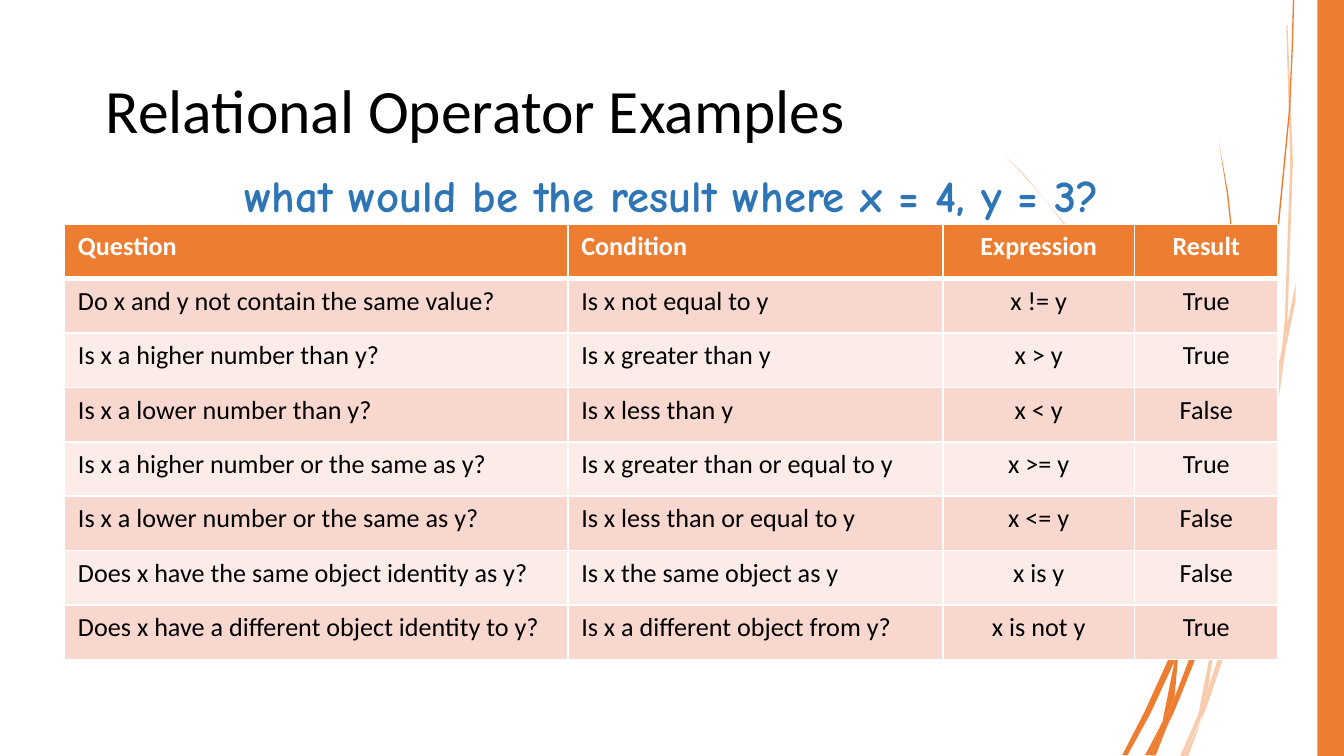
from collections import namedtuple
from dataclasses import dataclass

from lxml.etree import SubElement
from pptx import Presentation
from pptx.dml.color import RGBColor
from pptx.enum.shapes import MSO_SHAPE as Shape
from pptx.enum.text import MSO_ANCHOR as Anchor, PP_ALIGN as Align
from pptx.oxml.ns import qn
from pptx.util import Cm, Pt

Box = namedtuple("Box", "left top width height")


@dataclass(frozen=True)
class Theme:
    accent: str = "ED7D31"
    pale: str = "F8CBAD"
    bands: tuple = ("F8D7CE", "FCECE8")
    black: str = "000000"
    white: str = "FFFFFF"
    blue: str = "2E75B6"
    body_font: str = "Calibri"
    hand_font: str = "Comic Neue"
    title_size: int = 33
    prompt_size: int = 24
    table_size: int = 14
    rule: int = 1
    header_rule: int = 3


THEME = Theme()
PAGE = Box(0, 0, 25.4, 14.29)
WISP_UNIT = Cm(0.0254)

PALE_WISPS = [
    [(956, 263), (958, 241), (964, 211), (964, 224), (957, 258)],
    [(924, 391), (905, 449), (905, 440), (921, 390), (939, 325), (954, 259),
     (952, 282)],
    [(900, 455), (902, 447), (902, 458), (878, 520), (859, 563), (856, 563),
     (875, 519)],
    [(881, 563), (878, 563), (891, 533)],
    [(899, 512), (915, 464), (930, 408), (942, 352), (952, 282), (956, 263),
     (944, 352), (933, 409), (918, 466), (900, 520), (894, 536), (895, 530)],
    [(958, 237), (958, 242), (954, 258), (954, 259), (956, 237), (960, 120),
     (957, 19), (958, 19), (962, 120)],
    [(958, 241), (956, 263), (952, 282), (954, 259), (954, 258)],
    [(905, 449), (903, 485), (899, 512), (897, 519), (891, 533), (892, 530),
     (901, 484), (902, 458), (903, 456)],
    [(902, 438), (898, 392), (887, 347), (852, 261), (805, 184), (777, 148),
     (762, 131), (747, 115), (763, 131), (777, 148), (806, 183), (854, 261),
     (889, 346), (901, 391), (905, 438), (905, 440), (902, 447)],
    [(894, 536), (884, 563), (881, 563)],
    [(903, 456), (902, 458), (902, 447), (905, 440), (905, 449)],
    [(897, 519), (899, 512), (895, 530), (893, 536), (881, 563), (891, 533)],
]

ACCENT_WISPS = [
    [(960, 82), (951, 175), (938, 266), (919, 357), (918, 361), (920, 343),
     (920, 340), (935, 266), (950, 174), (959, 82), (961, 36), (962, 0),
     (963, 0), (962, 36)],
    [(892, 444), (877, 484), (877, 475), (877, 473), (888, 443), (903, 400),
     (915, 354), (912, 379)],
    [(871, 487), (874, 481), (874, 492), (856, 531), (839, 562), (835, 562),
     (852, 529)],
    [(874, 519), (884, 493), (896, 456), (905, 417), (912, 379), (918, 358),
     (909, 418), (888, 494), (873, 531), (868, 541), (869, 538)],
    [(915, 354), (917, 340), (921, 262), (917, 183), (913, 145), (907, 106),
     (914, 145), (918, 183), (922, 262), (920, 337), (916, 354)],
    [(855, 562), (852, 562), (864, 539)],
    [(918, 358), (912, 379), (915, 354), (916, 354), (920, 337), (920, 340)],
    [(873, 475), (870, 444), (862, 414), (834, 357), (796, 305), (774, 281),
     (762, 269), (749, 258), (762, 269), (774, 280), (797, 304), (836, 356),
     (864, 413), (873, 443), (877, 473), (874, 481)],
    [(868, 541), (860, 562), (857, 562)],
    [(877, 484), (874, 519), (869, 530), (864, 539), (865, 537), (874, 492),
     (875, 488)],
    [(877, 484), (875, 488), (873, 492), (874, 481), (877, 473), (877, 475)],
    [(869, 530), (874, 519), (869, 538), (868, 541), (857, 562), (855, 562),
     (864, 539)],
]

HEADER = ("Question", "Condition", "Expression", "Result")
EXAMPLES = [
    ("Do x and y not contain the same value?", "Is x not equal to y", "x != y", "True"),
    ("Is x a higher number than y?", "Is x greater than y", "x > y", "True"),
    ("Is x a lower number than y?", "Is x less than y", "x < y", "False"),
    ("Is x a higher number or the same as y?", "Is x greater than or equal to y",
     "x >= y", "True"),
    ("Is x a lower number or the same as y?", "Is x less than or equal to y",
     "x <= y", "False"),
    ("Does x have the same object identity as y?", "Is x the same object as y",
     "x is y", "False"),
    ("Does x have a different object identity to y?", "Is x a different object from y?",
     "x is not y", "True"),
]
COLUMN_SHARES = (3.74, 2.79, 1.42, 1.07)
COLUMN_ALIGNS = (Align.LEFT, Align.LEFT, Align.CENTER, Align.CENTER)


def paint(shape, color):
    shape.fill.solid()
    shape.fill.fore_color.rgb = RGBColor.from_string(color)
    shape.line.fill.background()
    shape.shadow.inherit = False


def write(frame, text, font, size, color, bold=False, align=Align.LEFT):
    para = frame.paragraphs[0]
    para.text = text
    para.alignment = align
    para.font.name = font
    para.font.size = Pt(size)
    para.font.bold = bold
    para.font.color.rgb = RGBColor.from_string(color)
    return para


def add_text(page, box, anchor, *style, **options):
    frame = page.shapes.add_textbox(*map(Cm, box)).text_frame
    frame.word_wrap = True
    frame.vertical_anchor = anchor
    return write(frame, *style, **options)


def add_decoration(page, box, bar_width=0.5):
    for color, wisps in ((THEME.pale, PALE_WISPS), (THEME.accent, ACCENT_WISPS)):
        for start, *rest in wisps:
            builder = page.shapes.build_freeform(*start, scale=WISP_UNIT)
            builder.add_line_segments(rest, close=True)
            paint(builder.convert_to_shape(Cm(box.left), Cm(box.top)), color)
    bar = Box(box.left + box.width - bar_width, box.top, bar_width, box.height)
    paint(page.shapes.add_shape(Shape.RECTANGLE, *map(Cm, bar)), THEME.accent)


def add_title(page, box):
    para = add_text(page, box, Anchor.MIDDLE, "Relational Operator Examples",
                    THEME.body_font, THEME.title_size, THEME.black)
    para.line_spacing = 0.9


def add_prompt(page, box):
    add_text(page, box, Anchor.TOP, "what would be the result where x = 4, y = 3?",
             THEME.hand_font, THEME.prompt_size, THEME.blue,
             bold=True, align=Align.CENTER)


def add_borders(cell, top, bottom):
    properties = cell._tc.get_or_add_tcPr()
    widths = {"a:lnL": THEME.rule, "a:lnR": THEME.rule, "a:lnT": top, "a:lnB": bottom}
    for tag, width in widths.items():
        line = SubElement(properties, qn(tag), w=str(Pt(width)))
        fill = SubElement(line, qn("a:solidFill"))
        SubElement(fill, qn("a:srgbClr"), val=THEME.white)


def add_examples(page, box):
    rows = [HEADER, *EXAMPLES]
    table = page.shapes.add_table(len(rows), len(HEADER), *map(Cm, box)).table
    table.horz_banding = False
    for column, share in zip(table.columns, COLUMN_SHARES):
        column.width = Cm(box.width * share / sum(COLUMN_SHARES))
    for index, texts in enumerate(rows):
        table.rows[index].height = Cm(box.height / len(rows))
        is_header = index == 0
        fill = THEME.accent if is_header else THEME.bands[(index - 1) % 2]
        color = THEME.white if is_header else THEME.black
        top = THEME.header_rule if index == 1 else THEME.rule
        bottom = THEME.header_rule if is_header else THEME.rule
        for cell, text, align in zip(table.rows[index].cells, texts, COLUMN_ALIGNS):
            add_borders(cell, top, bottom)
            cell.fill.solid()
            cell.fill.fore_color.rgb = RGBColor.from_string(fill)
            write(cell.text_frame, text, THEME.body_font, THEME.table_size, color,
                  bold=is_header, align=align)


def main():
    deck = Presentation()
    deck.slide_width, deck.slide_height = Cm(PAGE.width), Cm(PAGE.height)
    page = deck.slides.add_slide(deck.slide_layouts[6])
    add_decoration(page, PAGE)
    add_title(page, Box(1.75, 0.76, 21.9, 2.77))
    add_examples(page, Box(1.22, 4.24, 22.94, 8.23))
    add_prompt(page, Box(1.22, 3.05, 22.94, 1.27))
    deck.save("out.pptx")


if __name__ == "__main__":
    main()
